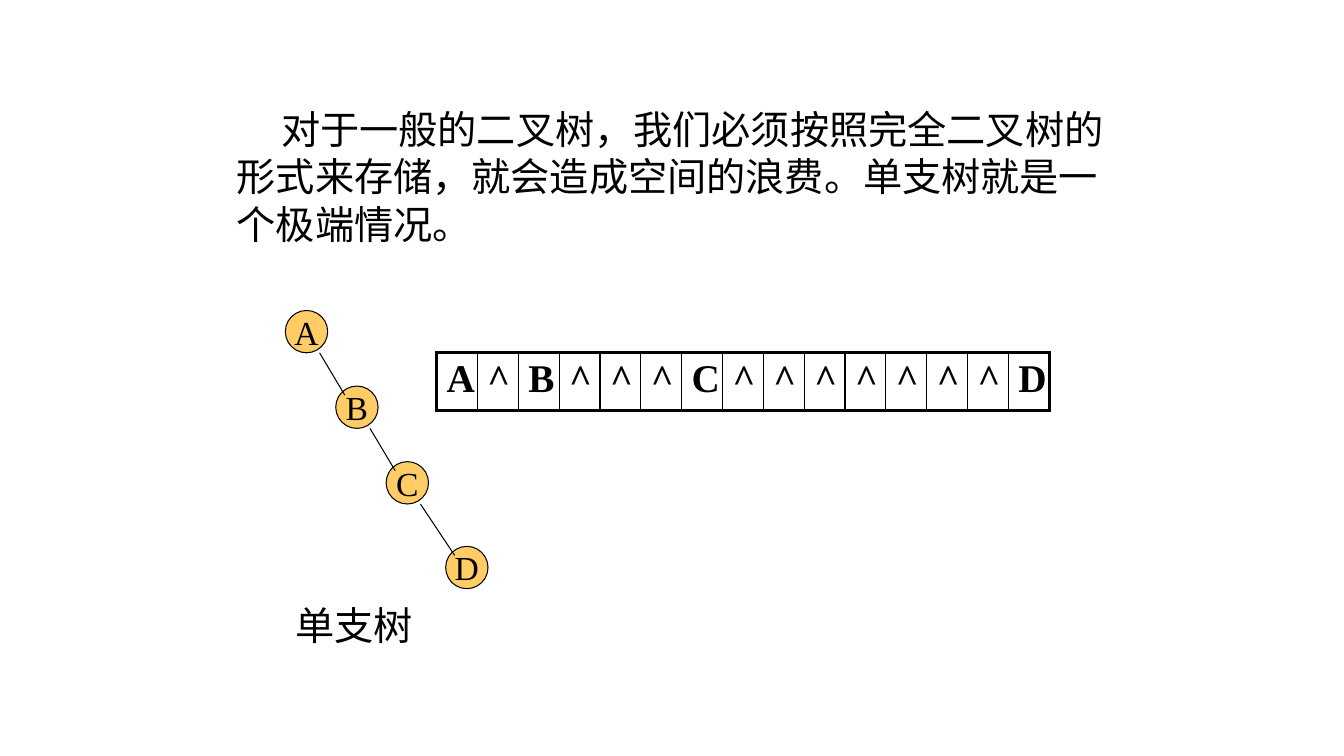
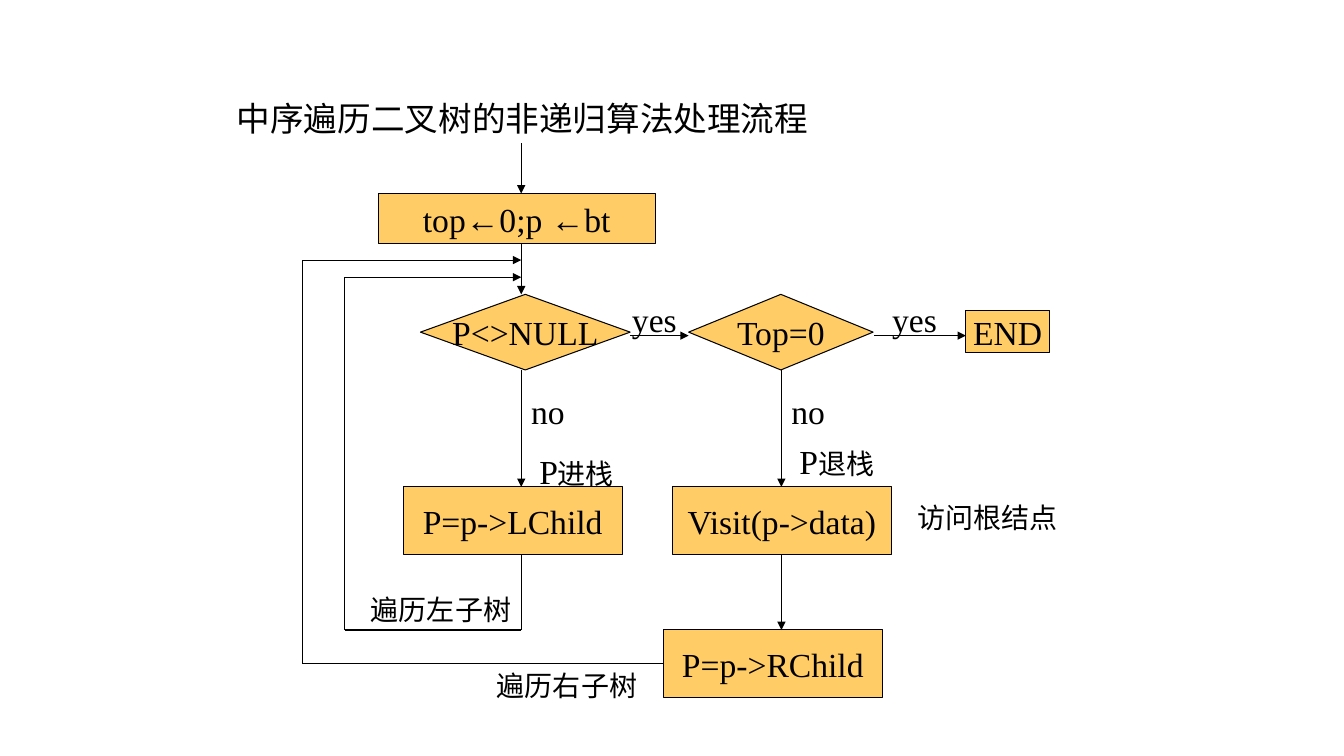
"""Build two slides on binary trees: sequential storage and in-order traversal."""
from dataclasses import dataclass
from itertools import pairwise

from lxml import etree
from pptx import Presentation
from pptx.dml.color import RGBColor
from pptx.enum.shapes import MSO_CONNECTOR, MSO_SHAPE
from pptx.enum.text import MSO_ANCHOR, PP_ALIGN
from pptx.oxml.ns import qn
from pptx.util import Inches, Pt

CIRCLE, RECT, DECISION = MSO_SHAPE.OVAL, MSO_SHAPE.RECTANGLE, MSO_SHAPE.FLOWCHART_DECISION
STRAIGHT = MSO_CONNECTOR.STRAIGHT
MIDDLE, CENTER = MSO_ANCHOR.MIDDLE, PP_ALIGN.CENTER


@dataclass(frozen=True)
class Theme:
    ink: RGBColor = RGBColor(0, 0, 0)
    amber: RGBColor = RGBColor(0xFF, 0xCC, 0x66)
    font: str = "Times New Roman"
    body: int = 28
    label: int = 24
    note: int = 20
    stroke: float = 0.75
    grid: float = 1
    frame: float = 2.25


theme = Theme()


def add_words(slide, parts, left, top, width, height, outline=None):
    """Place runs of (words, size) in a text box or an amber shape."""
    place = [Inches(length) for length in (left, top, width, height)]
    if outline is None:
        holder = slide.shapes.add_textbox(*place)
        holder.text_frame.word_wrap = True
    else:
        holder = slide.shapes.add_shape(outline, *place)
        holder.shadow.inherit = False
        holder.fill.solid()
        holder.fill.fore_color.rgb = theme.amber
        holder.line.color.rgb = theme.ink
        holder.line.width = Pt(theme.stroke)
        holder.text_frame.word_wrap = False
        holder.text_frame.vertical_anchor = MIDDLE
    paragraph = holder.text_frame.paragraphs[0]
    if outline is not None:
        paragraph.alignment = CENTER
    for words, size in parts:
        run = paragraph.add_run()
        run.text = words
        run.font.size = Pt(size)
        run.font.name = theme.font
        run.font.color.rgb = theme.ink
    return paragraph


def add_route(slide, points, arrow=True):
    """Join the points with straight lines, ending in an arrowhead."""
    for start, end in pairwise(points):
        link = slide.shapes.add_connector(STRAIGHT, *[Inches(n) for n in (*start, *end)])
        link.line.color.rgb = theme.ink
        link.line.width = Pt(theme.stroke)
        if arrow and end == points[-1]:
            etree.SubElement(link.line._get_or_add_ln(), qn("a:tailEnd"), type="triangle")
        etree.SubElement(link._element.spPr, qn("a:effectLst"))


deck = Presentation()
deck.slide_width, deck.slide_height = Inches(13.33), Inches(7.5)
blank = deck.slide_layouts[6]

storage = deck.slides.add_slide(blank)
intro = add_words(
    storage,
    [("对于一般的二叉树，我们必须按照完全二叉树的形式来存储，就会造成空间的浪费。单支树就是一个极端情况。", theme.body)],
    2.25, 1, 9, 1.5,
)
intro._p.get_or_add_pPr().set("indent", str(Inches(0.44)))

node_size = 0.42
nodes = {"A": (2.83, 3.08), "B": (3.33, 3.83), "C": (3.83, 4.58), "D": (4.42, 5.42)}
for letter, (left, top) in nodes.items():
    add_words(storage, [(letter, theme.label)], left, top, node_size, node_size, CIRCLE)
for parent, child in pairwise(nodes.values()):
    add_route(
        storage,
        [(parent[0] + 0.34, parent[1] + node_size), (child[0] + 0.09, child[1] + 0.09)],
        arrow=False,
    )

slots = "A^B^^^C^^^^^^^D"
array = storage.shapes.add_table(
    1, len(slots), Inches(4.33), Inches(3.5), Inches(6.08), Inches(0.57)
).table
array.first_row = array.horz_banding = False
for index, letter in enumerate(slots):
    cell = array.cell(0, index)
    cell.text_frame.text = letter
    font = cell.text_frame.paragraphs[0].runs[0].font
    font.size, font.bold, font.name = Pt(theme.body), True, theme.font
    font.color.rgb = theme.ink
    edges = {
        "a:lnL": theme.frame if index == 0 else theme.grid,
        "a:lnR": theme.frame if index == len(slots) - 1 else theme.grid,
        "a:lnT": theme.frame,
        "a:lnB": theme.frame,
    }
    for edge, weight in edges.items():
        border = etree.SubElement(cell._tc.get_or_add_tcPr(), qn(edge), w=str(Pt(weight)))
        ink = etree.SubElement(border, qn("a:solidFill"))
        etree.SubElement(ink, qn("a:srgbClr"), val=str(theme.ink))
    cell.fill.background()
add_words(storage, [("单支树", theme.body)], 2.83, 5.92, 1.58, 0.57)

traversal = deck.slides.add_slide(blank)
left_axis, right_axis = 5.17, 7.75
steps = [
    ("top←0;p ←bt", 3.75, 1.92, 2.75, 0.5, RECT),
    ("P<>NULL", 4.17, 2.92, 2.08, 0.75, DECISION),
    ("Top=0", 6.83, 2.92, 1.83, 0.75, DECISION),
    ("END", 9.58, 3.08, 0.83, 0.42, RECT),
    ("P=p->LChild", 4, 4.83, 2.17, 0.67, RECT),
    ("Visit(p->data)", 6.67, 4.83, 2.17, 0.67, RECT),
    ("P=p->RChild", 6.58, 6.25, 2.17, 0.67, RECT),
]
for words, *place in steps:
    add_words(traversal, [(words, theme.label)], *place)

routes = [
    [(left_axis, 1.42), (left_axis, 1.92)],
    [(left_axis, 2.42), (left_axis, 2.92)],
    [(left_axis, 3.67), (left_axis, 4.83)],
    [(right_axis, 3.67), (right_axis, 4.83)],
    [(right_axis, 5.5), (right_axis, 6.25)],
    [(6.25, 3.33), (6.83, 3.33)],
    [(8.67, 3.33), (9.58, 3.33)],
    [(left_axis, 5.5), (left_axis, 6.25), (3.42, 6.25), (3.42, 2.75), (left_axis, 2.75)],
    [(6.58, 6.58), (3, 6.58), (3, 2.58), (left_axis, 2.58)],
]
for route in routes:
    add_route(traversal, route)

captions = [
    ([("yes", theme.label)], 6.17, 2.92, 0.67, 0.5),
    ([("yes", theme.label)], 8.75, 2.92, 0.67, 0.5),
    ([("no", theme.label)], left_axis, 3.83, 0.67, 0.5),
    ([("no", theme.label)], right_axis, 3.83, 0.67, 0.5),
    ([("P", theme.label), ("进栈", theme.note)], 5.25, 4.42, 1.08, 0.5),
    ([("P", theme.label), ("退栈", theme.note)], 7.83, 4.33, 1.08, 0.5),
    ([("访问根结点", theme.note)], 9, 4.92, 2.08, 0.43),
    ([("遍历右子树", theme.note)], 4.83, 6.58, 1.75, 0.43),
    ([("遍历左子树", theme.note)], 3.58, 5.83, 1.75, 0.43),
    ([("中序遍历二叉树的非递归算法处理流程", theme.label)], 2.25, 0.92, 8.92, 0.5),
]
for parts, *place in captions:
    add_words(traversal, parts, *place)

deck.save("out.pptx")
